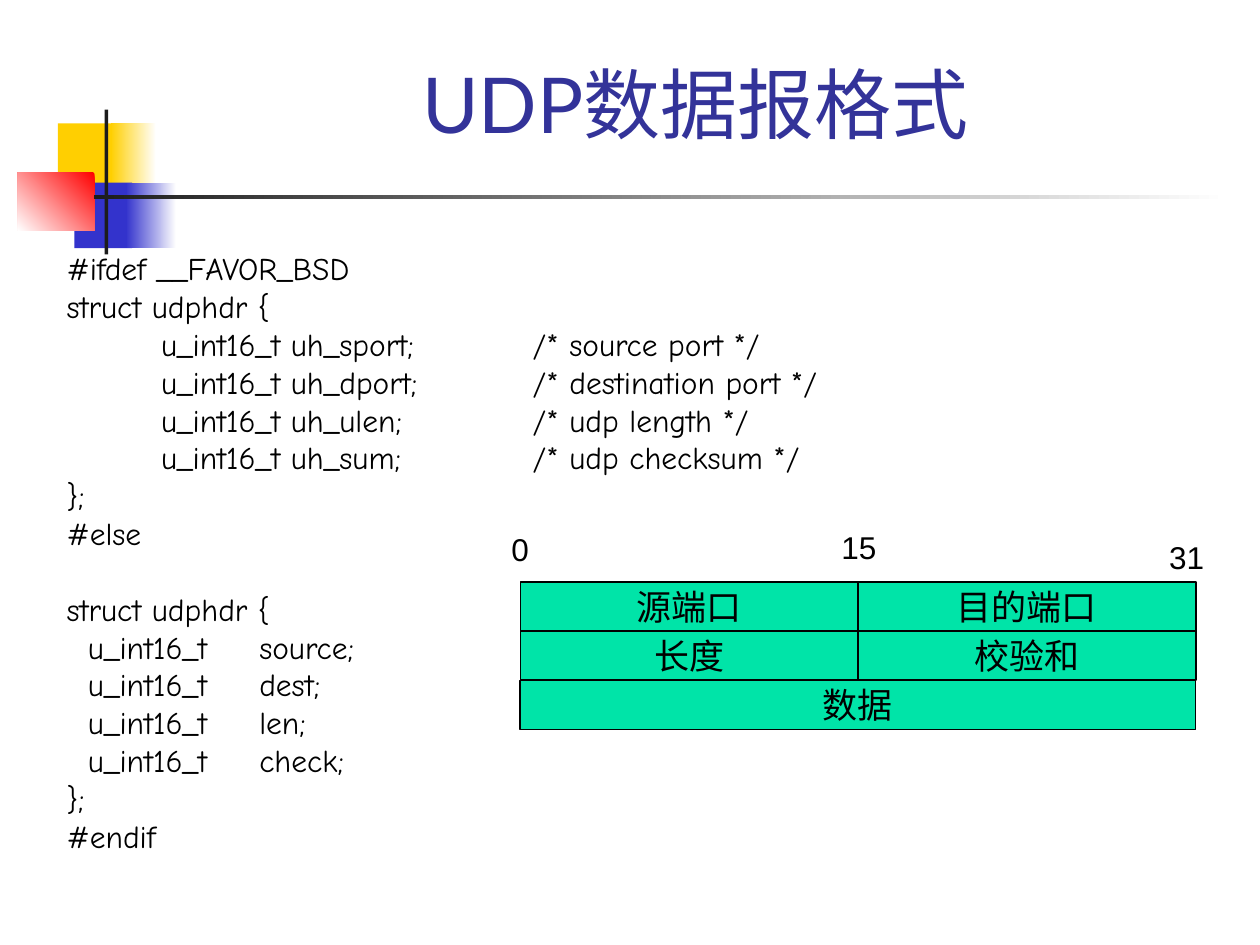
import pptx
import pptx.dml.color
import pptx.enum.shapes
import pptx.enum.text
import pptx.oxml
import pptx.oxml.ns
import pptx.util

ALIGN = pptx.enum.text.PP_ALIGN
ANCHOR = pptx.enum.text.MSO_ANCHOR
AUTO_SIZE = pptx.enum.text.MSO_AUTO_SIZE
RECTANGLE = pptx.enum.shapes.MSO_SHAPE.RECTANGLE

GRID_LEFT, GRID_TOP = 4.13, 4.62
COLUMN_WIDTH, ROW_HEIGHT = 2.68, 0.39

# column, row, column span, label
HEADER_FIELDS = [
    (0, 0, 1, "源端口"),
    (1, 0, 1, "目的端口"),
    (0, 1, 1, "长度"),
    (1, 1, 1, "校验和"),
    (0, 2, 2, "数据"),
]
BIT_NUMBERS = [
    ("0", 3.96, 4.16, 0.34),
    ("15", 6.58, 4.14, 0.48),
    ("31", 9.18, 4.22, 0.48),
]

PLAIN_STOPS = ()
COMMENTED_STOPS = (0.75, 3.7)
MEMBER_STOPS = (0.17, 1.53)
CODE_LINES = [
    ("#ifdef __FAVOR_BSD", PLAIN_STOPS),
    ("struct udphdr {", PLAIN_STOPS),
    ("\tu_int16_t uh_sport;\t/* source port */", COMMENTED_STOPS),
    ("\tu_int16_t uh_dport;\t/* destination port */", COMMENTED_STOPS),
    ("\tu_int16_t uh_ulen;\t/* udp length */", COMMENTED_STOPS),
    ("\tu_int16_t uh_sum;\t/* udp checksum */", COMMENTED_STOPS),
    ("};", PLAIN_STOPS),
    ("#else", PLAIN_STOPS),
    ("struct udphdr {", PLAIN_STOPS),
    ("\tu_int16_t\tsource;", MEMBER_STOPS),
    ("\tu_int16_t\tdest;", MEMBER_STOPS),
    ("\tu_int16_t\tlen;", MEMBER_STOPS),
    ("\tu_int16_t\tcheck;", MEMBER_STOPS),
    ("};", PLAIN_STOPS),
    ("#endif", PLAIN_STOPS),
]
LINE_AFTER_GAP = CODE_LINES.index(("#else", PLAIN_STOPS)) + 1


def color(hex_text):
    return pptx.dml.color.RGBColor.from_string(hex_text)


def box(left, top, width, height):
    return [pptx.util.Inches(value) for value in (left, top, width, height)]


def format_text(text_frame, size, font_name, hex_text, align):
    for paragraph in text_frame.paragraphs:
        paragraph.alignment = align
        for run in paragraph.runs:
            run.font.size = pptx.util.Pt(size)
            run.font.name = font_name
            run.font.color.rgb = color(hex_text)


def add_rectangle(slide, place, fill, angle=None):
    """Fill with one colour, or with a (start, end) gradient at an angle."""
    shape = slide.shapes.add_shape(RECTANGLE, *box(*place))
    shape.shadow.inherit = False
    shape.line.fill.background()
    if angle is None:
        shape.fill.solid()
        shape.fill.fore_color.rgb = color(fill)
    else:
        shape.fill.gradient()
        shape.fill.gradient_angle = angle
        for stop, hex_text in zip(shape.fill.gradient_stops, fill):
            stop.color.rgb = color(hex_text)
    return shape


def add_text(slide, place, text, size, font_name, hex_text="000000",
             align=ALIGN.LEFT, wrap=True):
    text_frame = slide.shapes.add_textbox(*box(*place)).text_frame
    text_frame.text = text
    text_frame.word_wrap = wrap
    format_text(text_frame, size, font_name, hex_text, align)
    return text_frame


def add_field(slide, column, row, span, label):
    place = (GRID_LEFT + column * COLUMN_WIDTH, GRID_TOP + row * ROW_HEIGHT,
             span * COLUMN_WIDTH, ROW_HEIGHT)
    shape = add_rectangle(slide, place, "00E4A8")
    shape.line.color.rgb = color("000000")
    shape.line.width = pptx.util.Pt(1)
    shape.text_frame.text = label
    shape.text_frame.word_wrap = False
    shape.text_frame.vertical_anchor = ANCHOR.MIDDLE
    format_text(shape.text_frame, 20, "Arial", "000000", ALIGN.CENTER)


def set_tab_stops(paragraph, stops):
    tabs = "".join(f'<a:tab pos="{pptx.util.Inches(stop)}" algn="l"/>' for stop in stops)
    namespace = pptx.oxml.ns.nsdecls("a")
    properties = paragraph._p.get_or_add_pPr()
    properties.append(pptx.oxml.parse_xml(f"<a:tabLst {namespace}>{tabs}</a:tabLst>"))


def add_ornament(slide):
    add_rectangle(slide, (0.46, 0.98, 0.48, 0.52), "FFCF01")
    add_rectangle(slide, (0.88, 0.98, 0.36, 0.52), ("FFFFFF", "FFCF01"), 180)
    add_rectangle(slide, (0.59, 1.45, 0.46, 0.52), "3333CC")
    add_rectangle(slide, (1, 1.45, 0.4, 0.52), ("FFFFFF", "3333CC"), 180)
    add_rectangle(slide, (0.14, 1.37, 0.61, 0.46), ("FF0000", "FFFFFF"), 225)
    add_rectangle(slide, (0.83, 0.87, 0.03, 1.15), "1C1C1C")
    add_rectangle(slide, (0.75, 1.55, 9, 0.03), ("FFFFFF", "1C1C1C"), 180)


def add_code(slide):
    text = "\n".join(line for line, _ in CODE_LINES)
    text_frame = add_text(slide, (0.43, 1.93, 6.93, 5.2), text, 18, "Comic Neue")
    paragraphs = text_frame.paragraphs
    paragraphs[LINE_AFTER_GAP].space_before = pptx.util.Pt(21.7)
    for paragraph, (_, stops) in zip(paragraphs, CODE_LINES):
        if stops:
            set_tab_stops(paragraph, stops)


def main():
    presentation = pptx.Presentation()
    presentation.slide_width = pptx.util.Inches(10)
    presentation.slide_height = pptx.util.Inches(7.5)
    slide = presentation.slides.add_slide(presentation.slide_layouts[6])

    add_ornament(slide)
    title = add_text(slide, (1.26, 0.23, 8.52, 1), "UDP数据报格式", 44, "Lato",
                     "333399", ALIGN.CENTER)
    title.vertical_anchor = ANCHOR.BOTTOM
    for field in HEADER_FIELDS:
        add_field(slide, *field)
    for number, left, top, width in BIT_NUMBERS:
        label = add_text(slide, (left, top, width, 0.4), number, 18, "Arial", wrap=False)
        label.auto_size = AUTO_SIZE.SHAPE_TO_FIT_TEXT
    add_code(slide)

    presentation.save("out.pptx")


if __name__ == "__main__":
    main()
